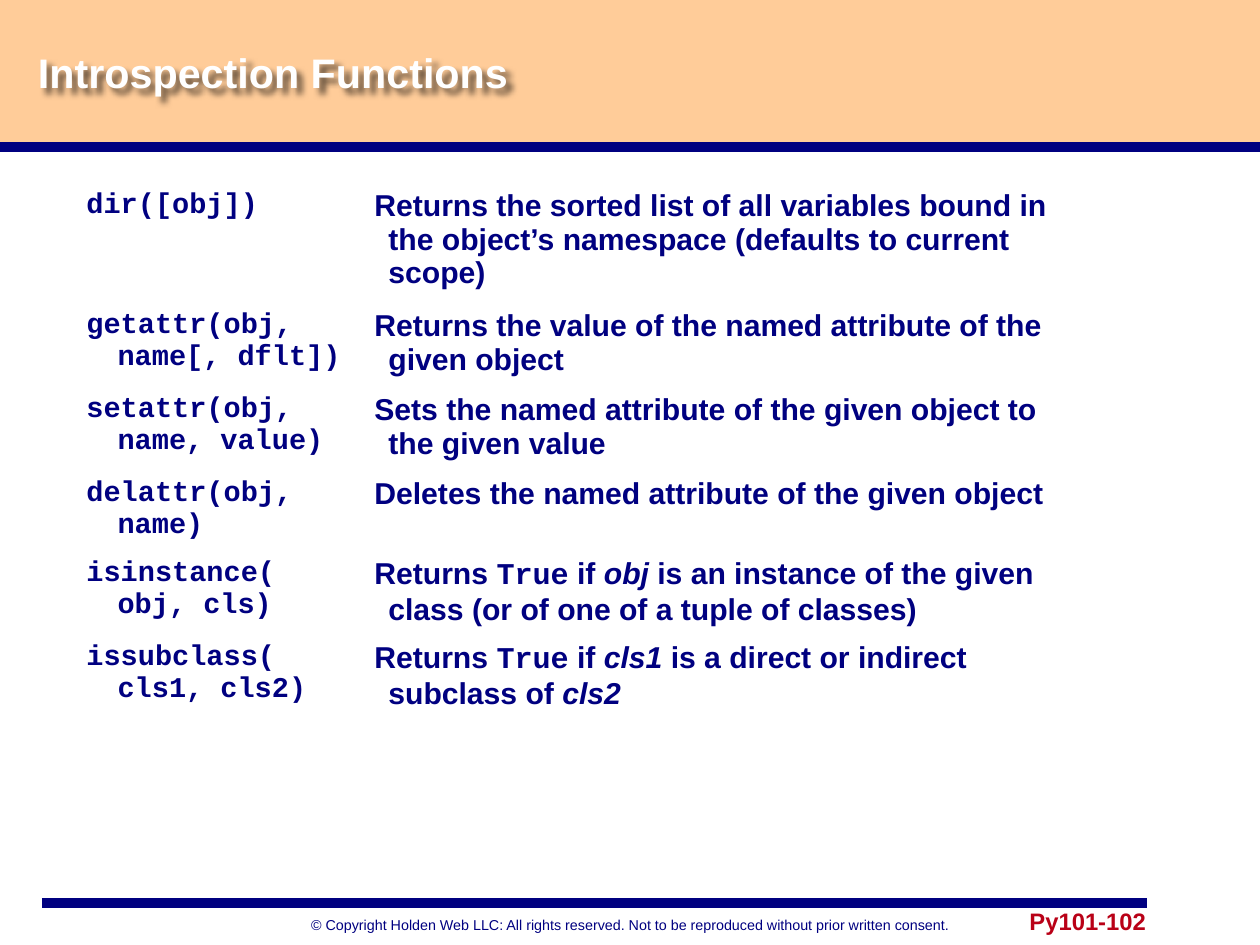
from lxml import etree
from pptx import Presentation
from pptx.dml.color import RGBColor
from pptx.enum.shapes import MSO_CONNECTOR, MSO_SHAPE
from pptx.enum.text import MSO_ANCHOR, PP_ALIGN
from pptx.oxml.ns import qn
from pptx.util import Emu, Pt

NAVY, WHITE, PEACH, RED = "000080", "FFFFFF", "FFCC99", "B90117"
SANS, CODE = "Arial", "Courier New"

CODE_FORMAT = {"name": CODE, "size": Pt(18), "bold": True}
TEXT_FORMAT = {"name": SANS, "size": Pt(19), "bold": True}
STYLES = {
    "text": TEXT_FORMAT,
    "code": TEXT_FORMAT | {"name": CODE},
    "italic": TEXT_FORMAT | {"italic": True},
}

# Signature lines, description spans, row height
FUNCTIONS = [
    (["dir([obj])"],
     [("text", "Returns the sorted list of all variables bound in the object’s "
               "namespace (defaults to current scope)")], 112),
    (["getattr(obj,", " name[, dflt])"],
     [("text", "Returns the value of the named attribute of the given object")], 78),
    (["setattr(obj,", " name, value)"],
     [("text", "Sets the named attribute of the given object to the given value")], 78),
    (["delattr(obj,", " name)"],
     [("text", "Deletes the named attribute of the given object")], 76),
    (["isinstance(", " obj, cls)"],
     [("text", "Returns "), ("code", "True"), ("text", " if "), ("italic", "obj"),
      ("text", " is an instance of the given class (or of one of a tuple of classes)")], 80),
    (["issubclass(", " cls1, cls2)"],
     [("text", "Returns "), ("code", "True"), ("text", " if "), ("italic", "cls1"),
      ("text", " is a direct or indirect subclass of "), ("italic", "cls2")], 80),
]
COLUMN_WIDTHS = [288, 724]
TABLE_LEFT, TABLE_TOP = 75, 184
HANGING_INDENT = 14

# Text, place, alignment, anchor, colour, format
TEXT_BOXES = {
    "copyright": ("© Copyright Holden Web LLC: All rights reserved. "
                  "Not to be reproduced without prior written consent.",
                  (0, 909, 1260, 30), PP_ALIGN.CENTER, MSO_ANCHOR.TOP, NAVY,
                  {"name": SANS, "size": Pt(9)}),
    "page label": ("Py101-102", (960, 900, 199, 41), PP_ALIGN.RIGHT, MSO_ANCHOR.TOP, RED,
                   {"name": SANS, "size": Pt(15), "bold": True}),
    "title": ("Introspection Functions", (25, 22, 1073, 100), PP_ALIGN.LEFT,
              MSO_ANCHOR.MIDDLE, WHITE, {"name": SANS, "size": Pt(26), "bold": True}),
}
RULES = [(42, 1147, 903), (0, 1260, 147)]


def px(length):
    return Emu(length * 8000)


def color(value):
    return RGBColor.from_string(value)


def add_span(para, text, font_color, font_format):
    span = para.add_run()
    span.text = text
    span.font.color.rgb = color(font_color)
    for name, value in font_format.items():
        setattr(span.font, name, value)


def add_text_box(page, text, place, alignment, anchor, font_color, font_format):
    box = page.shapes.add_textbox(*map(px, place))
    frame_format = {"word_wrap": True, "vertical_anchor": anchor,
                    "margin_left": px(13), "margin_right": px(13),
                    "margin_top": px(7), "margin_bottom": px(7)}
    for name, value in frame_format.items():
        setattr(box.text_frame, name, value)
    para = box.text_frame.paragraphs[0]
    para.alignment = alignment
    add_span(para, text, font_color, font_format)
    return box


def add_soft_shadow(box):
    effects = etree.SubElement(box._element.spPr, qn("a:effectLst"))
    shadow = etree.SubElement(effects, qn("a:outerShdw"), blurRad=str(px(6)),
                              dist=str(px(6)), dir="2700000", algn="ctr", rotWithShape="0")
    black = etree.SubElement(shadow, qn("a:srgbClr"), val="000000")
    etree.SubElement(black, qn("a:alpha"), val="60000")


def add_rule(page, left, right, y):
    rule = page.shapes.add_connector(MSO_CONNECTOR.STRAIGHT, px(left), px(y), px(right), px(y))
    rule.line.color.rgb = color(NAVY)
    rule.line.width = Pt(6)
    etree.SubElement(rule._element.spPr, qn("a:effectLst"))


def hanging_paragraph(cell):
    cell.fill.background()
    para = cell.text_frame.paragraphs[0]
    properties = para._p.get_or_add_pPr()
    properties.set("marL", str(px(HANGING_INDENT)))
    properties.set("indent", str(px(-HANGING_INDENT)))
    return para


def add_function_table(page):
    heights = [height for _, _, height in FUNCTIONS]
    table = page.shapes.add_table(
        len(FUNCTIONS), len(COLUMN_WIDTHS), px(TABLE_LEFT), px(TABLE_TOP),
        px(sum(COLUMN_WIDTHS)), px(sum(heights))).table
    table.first_row = table.horz_banding = False
    for column, width in zip(table.columns, COLUMN_WIDTHS):
        column.width = px(width)
    for row, (signature, description, height) in zip(table.rows, FUNCTIONS):
        row.height = px(height)
        signature_para, description_para = map(hanging_paragraph, row.cells)
        for number, line in enumerate(signature):
            if number:
                signature_para.add_line_break()
            add_span(signature_para, line, NAVY, CODE_FORMAT)
        for style, text in description:
            add_span(description_para, text, NAVY, STYLES[style])


def main():
    deck = Presentation()
    deck.slide_width, deck.slide_height = px(1260), px(945)
    page = deck.slides.add_slide(deck.slide_layouts[6])
    page.background.fill.solid()
    page.background.fill.fore_color.rgb = color(PEACH)

    panel = page.shapes.add_shape(MSO_SHAPE.RECTANGLE, px(0), px(152), px(1260), px(793))
    panel.shadow.inherit = False
    panel.fill.solid()
    panel.fill.fore_color.rgb = color(WHITE)
    panel.line.fill.background()

    for rule in RULES:
        add_rule(page, *rule)
    boxes = {name: add_text_box(page, *content) for name, content in TEXT_BOXES.items()}
    add_soft_shadow(boxes["title"])
    add_function_table(page)
    deck.save("out.pptx")


if __name__ == "__main__":
    main()
